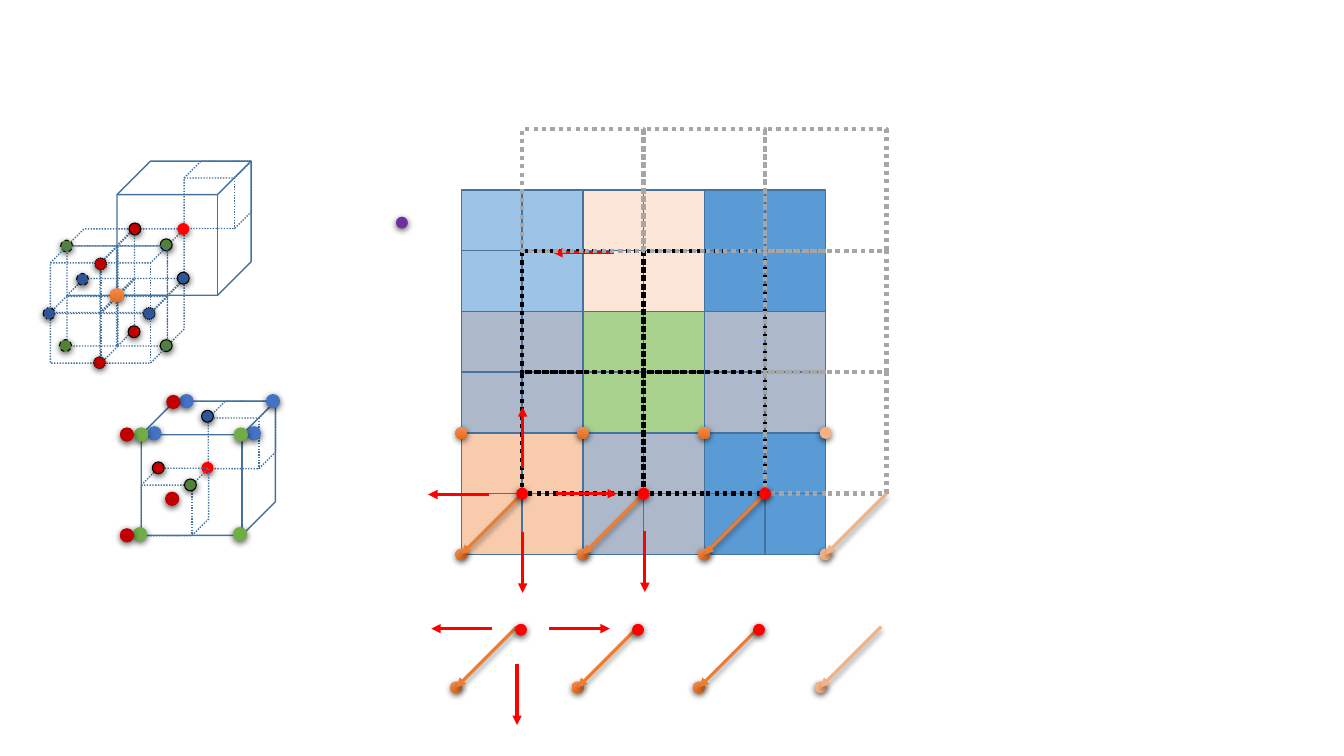
from lxml import etree
from pptx import Presentation
from pptx.dml.color import RGBColor
from pptx.enum import dml, shapes
from pptx.oxml.ns import qn
from pptx.util import Cm, Pt

RECT, OVAL, CUBE = (shapes.MSO_SHAPE.RECTANGLE, shapes.MSO_SHAPE.OVAL,
                    shapes.MSO_SHAPE.CUBE)
DOTTED, DASHED, DASH_DOT = (dml.MSO_LINE.ROUND_DOT, dml.MSO_LINE.DASH,
                            dml.MSO_LINE.DASH_DOT)
DOT_SHADOW, ARROW_SHADOW = (63, 4.5, 1.5), (40, 4, 3)
EDGE, BLACK, GREY = "43739E", "000000", "A6A6A6"
RED, DARK_RED, PURPLE = "FF0000", "C00000", "7030A0"
ORANGE, LIGHT_ORANGE, ORANGE_GRADIENT = "ED7D31", "F4B183", ("F18C57", "E56C19")
NAVY, BLUE, DARK_GREEN, GREEN = "2F5597", "4472C4", "548235", "70AD47"
SMALL_DOT, LARGE_DOT = 0.3, 0.36
SMALL_CUBE, LARGE_CUBE = 1.7, 3.38

prs = Presentation()
prs.slide_width, prs.slide_height = Cm(33.87), Cm(19.05)
slide = prs.slides.add_slide(prs.slide_layouts[6])


def finish(item, color, width, dash=None, shadow=None):
    """Set the outline and the shadow (opacity %, blur pt, distance pt)."""
    if color:
        item.line.color.rgb = RGBColor.from_string(color)
        item.line.width = Pt(width)
        if dash:
            item.line.dash_style = dash
    else:
        item.line.fill.background()
    effects = etree.SubElement(item._element.spPr, qn("a:effectLst"))
    if shadow:
        opacity, blur, distance = shadow
        outer = etree.SubElement(effects, qn("a:outerShdw"), blurRad=str(Pt(blur)),
                                 dist=str(Pt(distance)), dir="5400000", rotWithShape="0")
        tint = etree.SubElement(outer, qn("a:srgbClr"), val=BLACK)
        etree.SubElement(tint, qn("a:alpha"), val=str(opacity * 1000))


def place(kind, x, y, size, fill=None, line=None, width=1, dash=None):
    """Add a shape at its left top corner; dots go by their centre."""
    if kind == OVAL:
        x, y = x - size / 2, y - size / 2
    item = slide.shapes.add_shape(kind, Cm(x), Cm(y), Cm(size), Cm(size))
    if fill is None:
        item.fill.background()
    elif isinstance(fill, tuple):
        item.fill.gradient()
        item.fill.gradient_angle = 270
        for stop, color in zip(item.fill.gradient_stops, fill):
            stop.color.rgb = RGBColor.from_string(color)
    else:
        item.fill.solid()
        item.fill.fore_color.rgb = RGBColor.from_string(fill)
    finish(item, line, width, dash, DOT_SHADOW if kind == OVAL else None)


# Upper cube: four small cubes behind, four in front, dots on their corners
UPPER_X, UPPER_Y = 2.95, 4.06
back_dots = [
    (3.4, 5.77, DARK_RED, None), (4.62, 7.01, NAVY, None),
    (4.19, 6.17, DARK_GREEN, None), (1.68, 6.2, DARK_GREEN, DASHED),
    (4.19, 8.71, DARK_GREEN, None), (1.65, 8.71, DARK_GREEN, DASHED),
    (2.08, 7.04, NAVY, DASHED), (3.38, 8.36, DARK_RED, None),
]
front_dots = [
    (2.54, 6.65, DARK_RED, DOTTED), (2.51, 9.14, DARK_RED, DOTTED),
    (3.76, 7.9, NAVY, DOTTED), (1.24, 7.9, NAVY, DASH_DOT),
]
place(CUBE, UPPER_X + LARGE_CUBE / 2, UPPER_Y, SMALL_CUBE, line=EDGE, dash=DOTTED)
place(CUBE, UPPER_X, UPPER_Y, LARGE_CUBE, line=EDGE)
for layer_x, layer_y, layer_dots in [(1.69, 5.77, back_dots), (1.27, 6.2, front_dots)]:
    for col in range(2):
        for row in range(2):
            place(CUBE, layer_x + col * 1.25, layer_y + row * 1.25, SMALL_CUBE,
                  line=EDGE, dash=DOTTED)
    for x, y, fill, dash in layer_dots:
        place(OVAL, x, y, SMALL_DOT, fill, BLACK, 0.75, dash)
place(OVAL, 4.62, 5.77, SMALL_DOT, RED)
place(OVAL, 2.95, 7.44, LARGE_DOT, ORANGE_GRADIENT)
place(OVAL, 10.13, 5.61, SMALL_DOT, PURPLE)

# Lower cube: small cubes in two opposite corners
LOWER_X, LOWER_Y = 3.56, 10.11
HALF = LARGE_CUBE / 2
place(CUBE, LOWER_X + HALF, LOWER_Y, SMALL_CUBE, line=EDGE, dash=DOTTED)
place(OVAL, 5.23, 11.79, SMALL_DOT, RED)
place(CUBE, LOWER_X, LOWER_Y + HALF, SMALL_CUBE, line=EDGE, dash=DOTTED)
place(CUBE, LOWER_X, LOWER_Y, LARGE_CUBE, line=EDGE)
for x, y, fill in [(3.99, 11.79, DARK_RED), (5.23, 10.49, NAVY), (4.8, 12.22, DARK_GREEN)]:
    place(OVAL, x, y, SMALL_DOT, fill, BLACK, 0.75)
corner_dots = {
    BLUE: [(3.89, 10.92), (6.4, 10.92), (6.88, 10.11), (4.7, 10.11)],
    GREEN: [(3.56, 10.95), (6.07, 10.95), (3.53, 13.46), (6.05, 13.46)],
    DARK_RED: [(4.34, 12.57), (4.37, 10.13), (3.2, 13.49), (3.2, 10.95)],
}
for fill, centres in corner_dots.items():
    for x, y in centres:
        place(OVAL, x, y, LARGE_DOT, fill)

# Grid of six by six cells, coloured in blocks of two by two
CELL = 1.53
BLOCK = 2 * CELL
BLOCK_COLORS = [("9DC3E6", "FBE5D6", "5B9BD5"),
                ("ADB9CA", "A9D18E", "ADB9CA"),
                ("F8CBAD", "ADB9CA", "5B9BD5")]
grid_x = [11.63 + col * CELL for col in range(7)]
grid_y = [4.79 + row * CELL for row in range(7)]
for row in range(6):
    for col in range(6):
        place(RECT, grid_x[col], grid_y[row], CELL,
              BLOCK_COLORS[row // 2][col // 2], EDGE)

# Block outlines shifted by one cell: black inside the grid, grey beyond it
for col, color in [(1, BLACK), (3, BLACK), (5, GREY)]:
    for row in (1, 3):
        place(RECT, grid_x[col], grid_y[row], BLOCK, line=color, width=3, dash=DOTTED)

# Orange dots on the block corners and in the legend row, with arrows to them
LEGEND_SHIFT, LEGEND_Y = -0.13, 17.32
arrows = []
for col in (0, 2, 4, 6):
    dot_fill, arrow_color = ORANGE_GRADIENT, ORANGE
    if col == 6:
        dot_fill = arrow_color = LIGHT_ORANGE
    place(OVAL, grid_x[col], grid_y[4], SMALL_DOT, dot_fill)
    for x, y in [(grid_x[col], grid_y[6]), (grid_x[col] + LEGEND_SHIFT, LEGEND_Y)]:
        place(OVAL, x, y, SMALL_DOT, dot_fill)
        arrows.append((x + CELL, y - CELL, -1, 1, arrow_color, ARROW_SHADOW))

# Red arrows: starting points by direction
LEFTWARD, RIGHTWARD, UPWARD, DOWNWARD = (-1, 0), (1, 0), (0, -1), (0, 1)
red_starts = {
    LEFTWARD: [(15.47, 6.37), (12.32, 12.46), (12.4, 15.84)],
    RIGHTWARD: [(14.02, 12.44), (13.84, 15.84)],
    UPWARD: [(13.17, 11.79)],
    DOWNWARD: [(13.17, 13.41), (16.25, 13.39), (13.03, 16.74)],
}
for (dx, dy), starts in red_starts.items():
    for x, y in starts:
        arrows.append((x, y, dx, dy, RED, None))

# Every arrow spans one cell in its direction
for x, y, dx, dy, color, shadow in arrows:
    arrow = slide.shapes.add_connector(
        shapes.MSO_CONNECTOR.STRAIGHT, Cm(x), Cm(y), Cm(x + dx * CELL), Cm(y + dy * CELL))
    finish(arrow, color, 2.25, shadow=shadow)
    etree.SubElement(arrow.get_or_add_ln(), qn("a:tailEnd"), type="triangle")

# Grey outlines above the grid, and red dots where the diagonal arrows start
for col, legend_x in [(1, 13.13), (3, 16.08), (5, 19.13)]:
    place(RECT, grid_x[col], grid_y[0] - CELL, BLOCK, line=GREY, width=3, dash=DOTTED)
    place(OVAL, grid_x[col], grid_y[5], SMALL_DOT, RED)
    place(OVAL, legend_x, 15.87, SMALL_DOT, RED)

prs.save("out.pptx")
